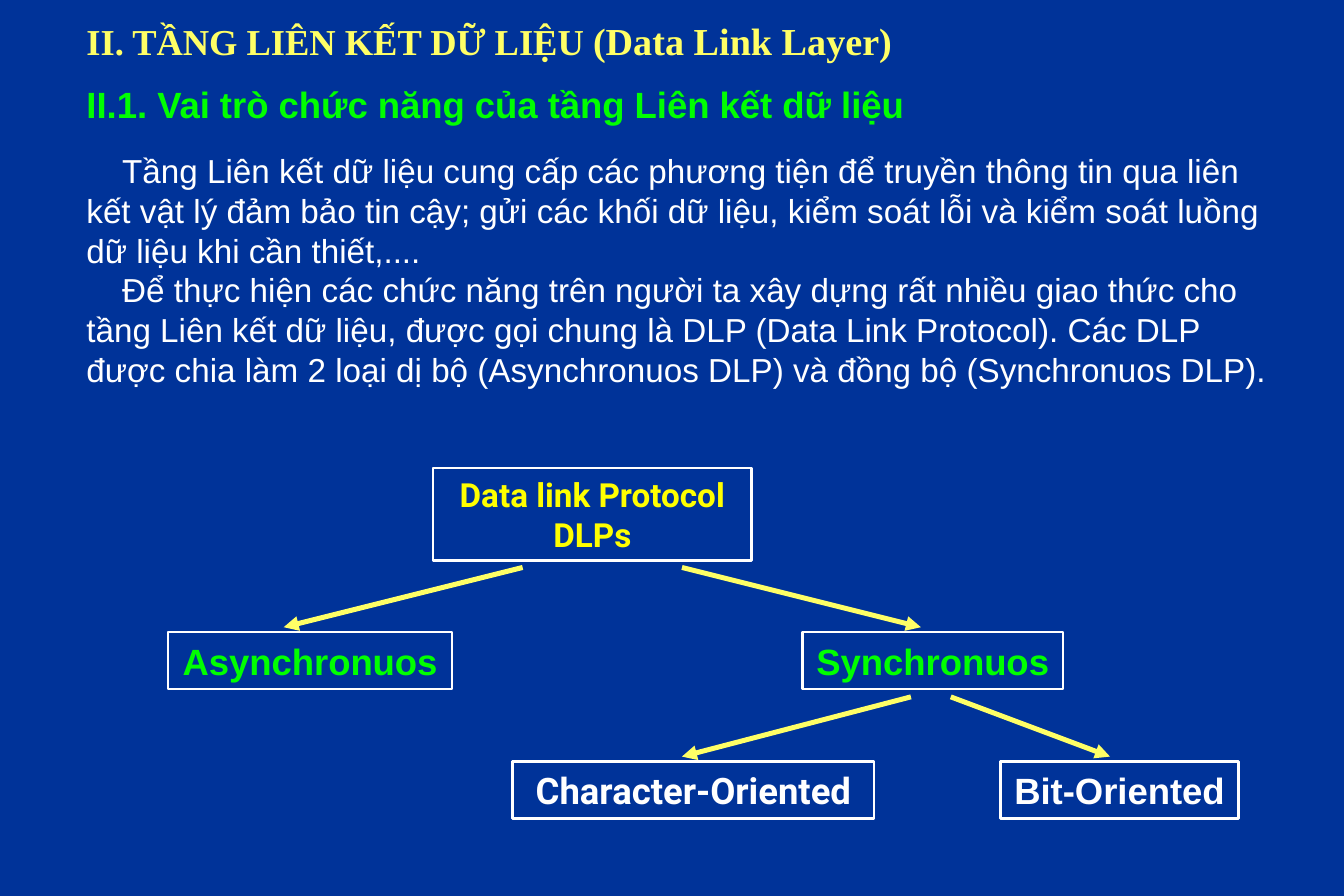
import pptx
import pptx.dml.color
import pptx.enum.shapes
import pptx.enum.text
import pptx.util
import pptx.oxml
import pptx.oxml.ns

SCALE = 7620  # EMU per px, 120 px to the inch
NAVY, WHITE, GREEN = "003399", "FFFFFF", "00FF00"
CREAM, YELLOW = "FFFF66", "FFFF00"


def px(n):
    return pptx.util.Emu(n * SCALE)


def color(code):
    return pptx.dml.color.RGBColor.from_string(code)


def put(frame, text, size=22, font="Arial", fill=WHITE, bold=True,
        align="LEFT", wrap=True, indent=0, space=None):
    """Each line is a paragraph; a line may be a list of (text, size) runs."""
    frame.word_wrap = wrap
    for i, line in enumerate(text):
        para = frame.paragraphs[0] if i == 0 else frame.add_paragraph()
        para.alignment = getattr(pptx.enum.text.PP_ALIGN, align)
        if space:
            para.line_spacing = space
        if indent:
            para._p.get_or_add_pPr().set("indent", str(px(indent)))
        runs = [(line, size)] if isinstance(line, str) else line
        for words, points in runs:
            run = para.add_run()
            run.text = words
            run.font.size = pptx.util.Pt(points)
            run.font.name = font
            run.font.bold = bold
            run.font.color.rgb = color(fill)


def label(slide, box, text, **style):
    put(slide.shapes.add_textbox(*map(px, box)).text_frame, text, **style)


def node(slide, box, text, **style):
    rect = pptx.enum.shapes.MSO_SHAPE.RECTANGLE
    shape = slide.shapes.add_shape(rect, *map(px, box))
    shape.shadow.inherit = False
    shape.fill.background()
    shape.line.color.rgb = color(WHITE)
    shape.line.width = pptx.util.Pt(1.5)
    shape.text_frame.vertical_anchor = pptx.enum.text.MSO_ANCHOR.MIDDLE
    put(shape.text_frame, text, align="CENTER", **style)


def arrow(slide, *ends):
    kind = pptx.enum.shapes.MSO_CONNECTOR.STRAIGHT
    link = slide.shapes.add_connector(kind, *map(px, ends))
    link.line.color.rgb = color(CREAM)
    link.line.width = pptx.util.Pt(3)
    tail = pptx.oxml.parse_xml(
        '<a:tailEnd %s type="triangle"/>' % pptx.oxml.ns.nsdecls("a"))
    link.line._get_or_add_ln().append(tail)
    link._element.spPr.append(pptx.oxml.parse_xml(
        "<a:effectLst %s/>" % pptx.oxml.ns.nsdecls("a")))


def heads(slide, x, y, w):
    label(slide, (x, y, w, 59),
          [[("II. TẦNG LIÊN KẾT DỮ LIỆU ", 22), ("(Data Link Layer)", 23)]],
          font="Times New Roman", fill=CREAM)
    label(slide, (x, y + 76, w, 44),
          ["II.1. Vai trò chức năng của tầng Liên kết dữ liệu"],
          fill=GREEN, space=0.7)


def body(slide, x, y, w, h):
    label(slide, (x, y, w, h), [
        "Tầng Liên kết dữ liệu cung cấp các phương tiện để truyền thông tin "
        "qua liên kết vật lý đảm bảo tin cậy; gửi các khối dữ liệu, kiểm soát "
        "lỗi và kiểm soát luồng dữ liệu khi cần thiết,....",
        "Để thực hiện các chức năng trên người ta xây dựng rất nhiều giao thức "
        "cho tầng Liên kết dữ liệu, được gọi chung là DLP (Data Link "
        "Protocol). Các DLP được chia làm 2 loại dị bộ (Asynchronuos DLP) và "
        "đồng bộ (Synchronuos DLP)."],
        size=20, bold=False, indent=36)


def tree(slide, x, y):
    # Root
    node(slide, (x + 266, y, 320, 93), ["Data link Protocol", "DLPs"],
         size=20, font="Roboto", fill=YELLOW)
    # Branches: left, top, width, name, font, colour
    for left, top, wide, name, font, fill in (
            (0, 165, 285, "Asynchronuos", "Arial", GREEN),
            (637, 165, 262, "Synchronuos", "Arial", GREEN),
            (346, 295, 363, "Character-Oriented", "Roboto", WHITE),
            (836, 295, 239, "Bit-Oriented", "Arial", WHITE)):
        node(slide, (x + left, y + top, wide, 57), [name],
             font=font, fill=fill, wrap=False)
    # Arrows: start, end, top
    for start, end, top in ((356, 116, 100), (516, 756, 100),
                            (746, 516, 230), (786, 946, 230)):
        arrow(slide, x + start, y + top, x + end, y + top + 60)


def main():
    deck = pptx.Presentation()
    deck.slide_width, deck.slide_height = px(1350), px(900)
    slide = deck.slides.add_slide(deck.slide_layouts[6])
    slide.background.fill.solid()
    slide.background.fill.fore_color.rgb = color(NAVY)
    heads(slide, 75, 12, 1180)
    body(slide, 75, 145, 1212, 262)
    tree(slide, 169, 470)
    deck.save("out.pptx")


if __name__ == "__main__":
    main()
